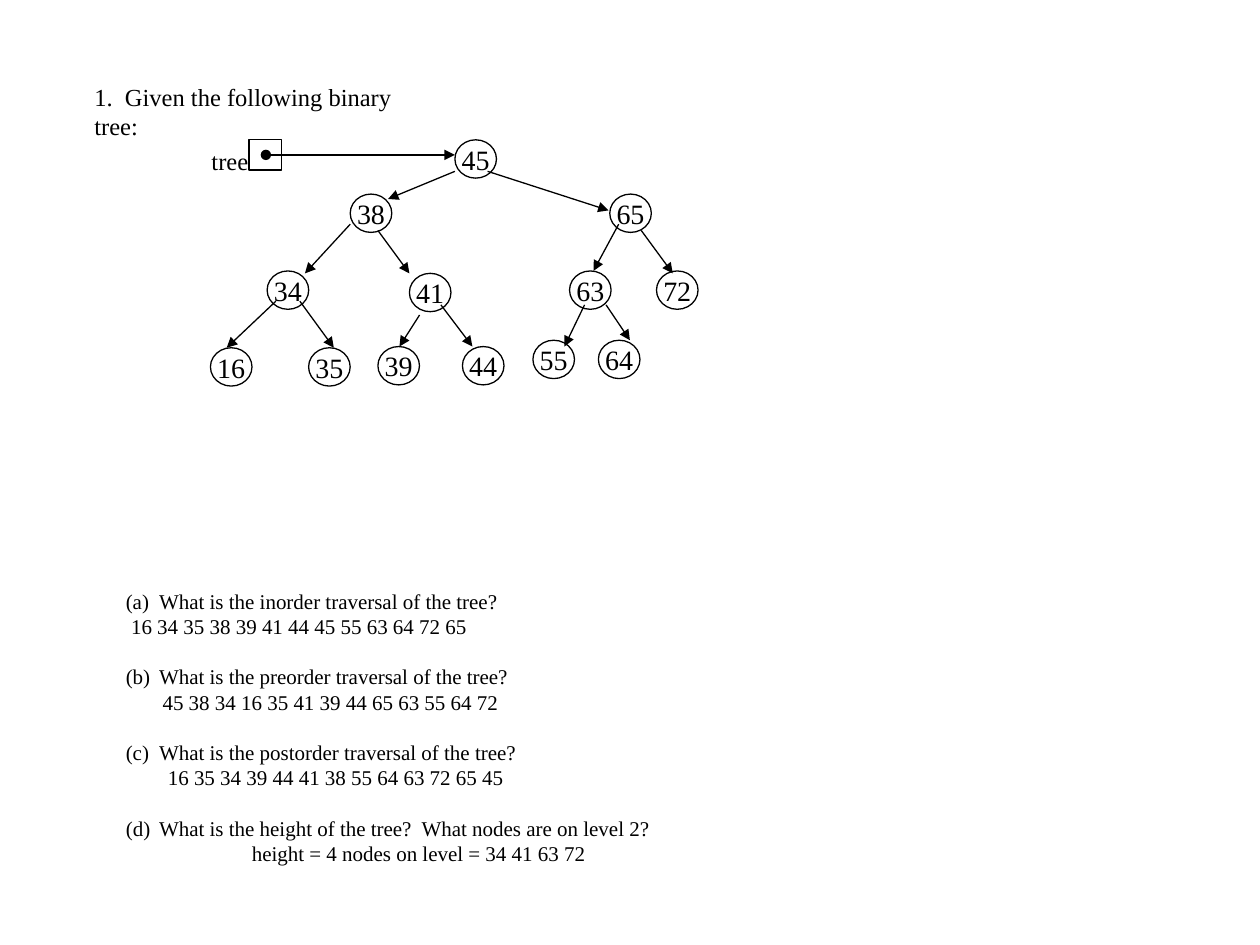
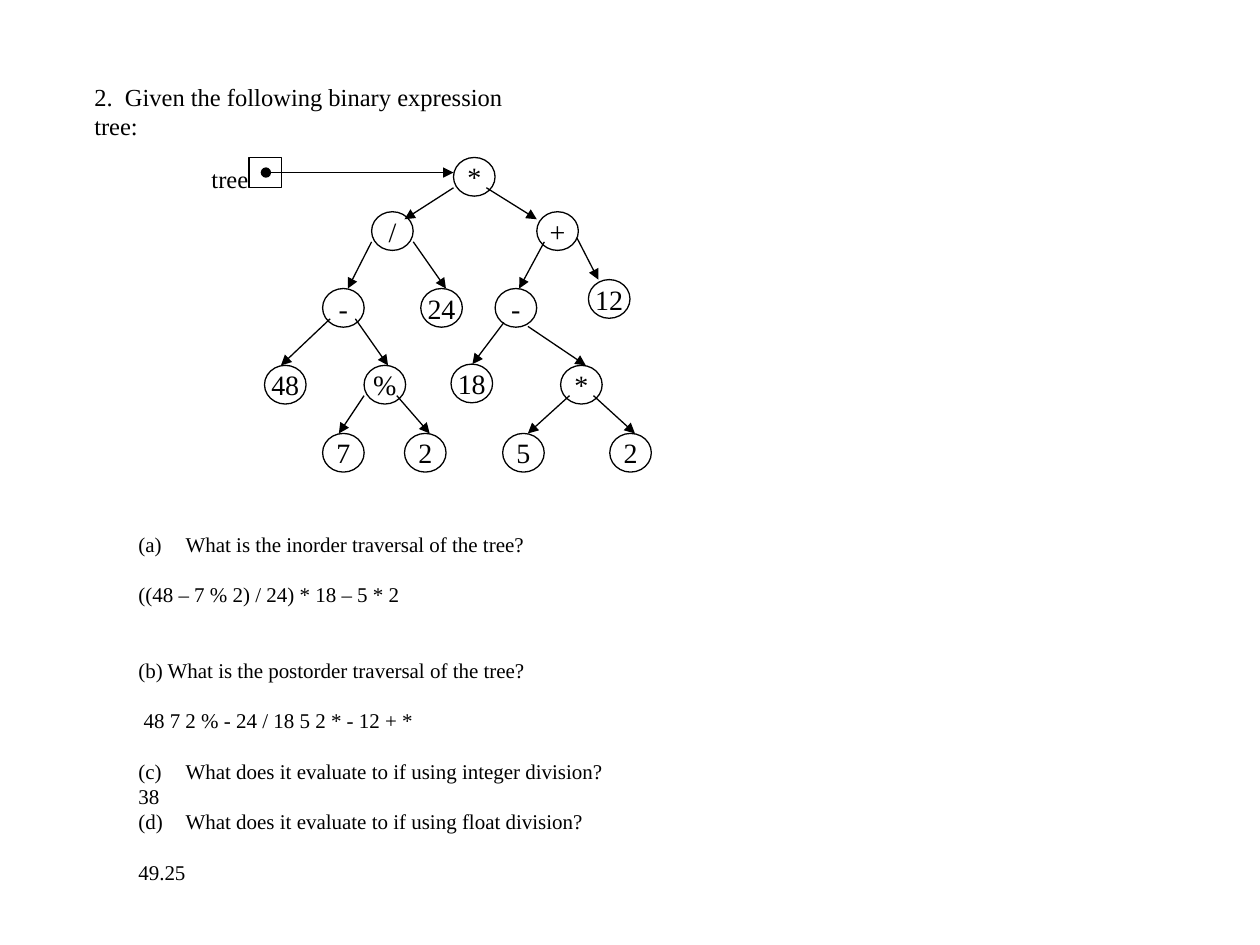
from pptx import Presentation
from pptx.dml.color import RGBColor
from pptx.enum.shapes import MSO_CONNECTOR as Connector, MSO_SHAPE as Preset
from pptx.enum.text import MSO_ANCHOR as Anchor, PP_ALIGN as Align
from pptx.oxml.ns import qn
from pptx.util import Pt
from lxml.etree import SubElement

COLOURS = {"ink": "000000", "paper": "FFFFFF"}
FONT = "Times New Roman"
TITLE_SIZE, BODY_SIZE, NODE_SIZE = 14, 12, 16
LEADING = 1.2
LINE_WIDTH = 0.75
NODE_WIDTH = 23.76
ROOT_POINTER = (38.2, 8.6)  # centre of the pointer box within a tree


def colour(name):
    """Return the named colour."""
    return RGBColor.from_string(COLOURS[name])


def apply_format(target, **values):
    """Set each given attribute on the target."""
    for name, value in values.items():
        setattr(target, name, value)


def add_run(paragraph, text, size):
    """Write text in the shared font."""
    run = paragraph.add_run()
    run.text = text
    apply_format(run.font, name=FONT, size=Pt(size))
    run.font.color.rgb = colour("ink")


def add_text_box(shapes, box, wrap=True):
    """Add an empty text box and return its text frame."""
    frame = shapes.add_textbox(*map(Pt, box)).text_frame
    frame.word_wrap = wrap
    return frame


def add_line_of_text(shapes, box, text, wrap=True):
    """Add a title-sized text box."""
    paragraph = add_text_box(shapes, box, wrap).paragraphs[0]
    paragraph.line_spacing = Pt(TITLE_SIZE * LEADING)
    add_run(paragraph, text, TITLE_SIZE)


def add_outline(shapes, preset, box):
    """Add an unfilled shape with a thin outline."""
    shape = shapes.add_shape(preset, *map(Pt, box))
    shape.shadow.inherit = False
    shape.fill.background()
    shape.line.color.rgb = colour("ink")
    shape.line.width = Pt(LINE_WIDTH)
    return shape


def add_node(shapes, label, box):
    """Add a labelled tree node."""
    frame = add_outline(shapes, Preset.OVAL, box).text_frame
    apply_format(frame, word_wrap=False, vertical_anchor=Anchor.MIDDLE,
                 margin_left=0, margin_right=0, margin_top=0, margin_bottom=0)
    paragraph = frame.paragraphs[0]
    paragraph.alignment = Align.CENTER
    add_run(paragraph, label, NODE_SIZE)


def add_arrow(shapes, start, end, head=None):
    """Add a line ending in a triangle, with an optional mark at its start."""
    arrow = shapes.add_connector(Connector.STRAIGHT, *map(Pt, (*start, *end)))
    arrow.line.color.rgb = colour("ink")
    arrow.line.width = Pt(LINE_WIDTH)
    line = arrow.line._get_or_add_ln()
    if head:
        SubElement(line, qn("a:headEnd"), type=head)
    SubElement(line, qn("a:tailEnd"), type="triangle")
    SubElement(arrow._element.spPr, qn("a:effectLst"))


def add_tree(slide, left, top, node_height, nodes, edges):
    """Draw a binary tree and its root pointer from the given corner."""
    shapes = slide.shapes.add_group_shape().shapes

    def place(x, y):
        return left + x, top + y

    for label, x, y in nodes:
        add_node(shapes, label, (*place(x, y), NODE_WIDTH, node_height))
    for x1, y1, x2, y2 in edges:
        add_arrow(shapes, place(x1, y1), place(x2, y2))
    add_outline(shapes, Preset.RECTANGLE, (*place(28.6, 0), 18.7, 17.3))
    add_line_of_text(shapes, (left, top, 35.3, 24), "tree", wrap=False)
    root_x = nodes[0][1]
    add_arrow(shapes, place(*ROOT_POINTER), place(root_x, ROOT_POINTER[1]), "oval")


def add_questions(slide, box, hang, lines):
    """List questions and answers: (text, lines skipped before, indent, number)."""
    frame = add_text_box(slide.shapes, box)
    leading = BODY_SIZE * LEADING
    for index, (text, skipped, indent, number) in enumerate(lines):
        paragraph = frame.add_paragraph() if index else frame.paragraphs[0]
        apply_format(paragraph, line_spacing=Pt(leading),
                     space_before=Pt(skipped * leading))
        properties = paragraph._p.get_or_add_pPr()
        hanging = number or "\t" in text
        properties.set("marL", str(Pt(hang if hanging else indent)))
        properties.set("indent", str(Pt(-hang if hanging else 0)))
        if number:
            SubElement(properties, qn("a:buFont"), typeface=FONT)
            SubElement(properties, qn("a:buAutoNum"), type="alphaLcParenBoth",
                       startAt=str(number))
        add_run(paragraph, text, BODY_SIZE)


def add_exercise(presentation, title, title_width, tree, questions):
    """Add a slide with a title, a tree and the questions about it."""
    slide = presentation.slides.add_slide(presentation.slide_layouts[6])
    slide.background.fill.solid()
    slide.background.fill.fore_color.rgb = colour("paper")
    add_line_of_text(slide.shapes, (46.8, 43.2, title_width, 24), title)
    add_questions(slide, **questions)
    add_tree(slide, **tree)


SEARCH_TREE = dict(
    left=113.76, top=79.92, node_height=21.9,
    nodes=[
        ("45", 146.2, 0), ("38", 86.4, 31), ("65", 234.7, 31),
        ("34", 38.9, 74.9), ("41", 120.2, 76.3),
        ("63", 211.7, 74.9), ("72", 261.4, 74.9),
        ("16", 6.5, 118.8), ("35", 62.6, 118.8),
        ("39", 102.2, 118.1), ("44", 150.5, 118.1),
        ("55", 190.8, 114.5), ("64", 228.2, 114.5),
    ],
    edges=[
        (146.2, 18, 108, 33.8), (164.9, 18, 234, 40.3),
        (86.4, 48.2, 60.5, 76.3), (102.2, 51.8, 120.2, 76.3),
        (239.8, 48.2, 225.4, 74.9), (252.7, 51.8, 270.7, 76.3),
        (43.9, 92.2, 15.8, 118.8), (57.6, 92.2, 77, 118.8),
        (126, 100.1, 114.5, 118.1), (138.2, 94.3, 156.2, 118.1),
        (220.3, 94.3, 208.8, 118.1), (232.6, 94.3, 246.2, 114.5),
    ])

SEARCH_QUESTIONS = dict(
    box=(64.8, 332.64, 380.9, 167), hang=19,
    lines=[
        ("(a)\tWhat is the inorder traversal of the tree?", 0, 0, None),
        ("16 34 35 38 39 41 44 45 55 63 64 72 65", 0, 3, None),
        ("(b)\tWhat is the preorder traversal of the tree?", 1, 0, None),
        ("45 38 34 16 35 41 39 44 65 63 55 64 72", 0, 21, None),
        ("(c)\tWhat is the postorder traversal of the tree?", 1, 0, None),
        ("16 35 34 39 44 41 38 55 64 63 72 65 45", 0, 24, None),
        ("What is the height of the tree?  What nodes are on level 2?", 1, 0, 4),
        ("height = 4 nodes on level = 34 41 63 72", 0, 72, None),
    ])

EXPRESSION_TREE = dict(
    left=113.76, top=90, node_height=22.1,
    nodes=[
        ("*", 145.4, 0), ("/", 98.6, 31), ("+", 193, 31),
        ("-", 70.6, 74.9), ("24", 126.7, 74.9),
        ("-", 169.2, 74.9), ("12", 222.5, 69.8),
        ("48", 37.4, 118.8), ("%", 94.3, 118.8),
        ("18", 144, 118.1), ("*", 206.6, 118.8),
        ("7", 70.6, 157.7), ("2", 117.4, 157.7),
        ("5", 173.5, 157.7), ("2", 234.7, 157.7),
    ],
    edges=[
        (145.4, 17.3, 117.4, 35.3), (164.2, 17.3, 193, 35.3),
        (98.6, 48.2, 85, 74.9), (122.4, 48.2, 141.1, 74.9),
        (197.3, 48.2, 182.9, 74.9), (216, 46.1, 228.2, 69.8),
        (74.9, 92.2, 46.8, 118.8), (89.3, 92.2, 108, 118.8),
        (174.2, 94.3, 156.2, 118.1), (187.9, 96.5, 221, 118.8),
        (94.3, 136.1, 79.9, 157.7), (113, 136.1, 131.8, 157.7),
        (211.7, 136.1, 187.9, 157.7), (225.4, 136.1, 249.1, 157.7),
    ])

EXPRESSION_QUESTIONS = dict(
    box=(72, 300.24, 283.7, 225.4), hang=27,
    lines=[
        ("What is the inorder traversal of the tree?", 0, 0, 1),
        ("((48 – 7 % 2) / 24) * 18 – 5 * 2", 1, 0, None),
        ("(b) What is the postorder traversal of the tree?", 2, 0, None),
        ("48 7 2 % - 24 / 18 5 2 * - 12 + *", 1, 3, None),
        ("What does it evaluate to if using integer division?", 1, 0, 3),
        ("38", 0, 0, None),
        ("What does it evaluate to if using float division?", 0, 0, 4),
        ("49.25", 1, 0, None),
    ])

presentation = Presentation()
apply_format(presentation, slide_width=Pt(720), slide_height=Pt(540))
add_exercise(presentation, "1.  Given the following binary tree:", 212.4,
             SEARCH_TREE, SEARCH_QUESTIONS)
add_exercise(presentation, "2.  Given the following binary expression tree:", 275.8,
             EXPRESSION_TREE, EXPRESSION_QUESTIONS)
presentation.save("out.pptx")
